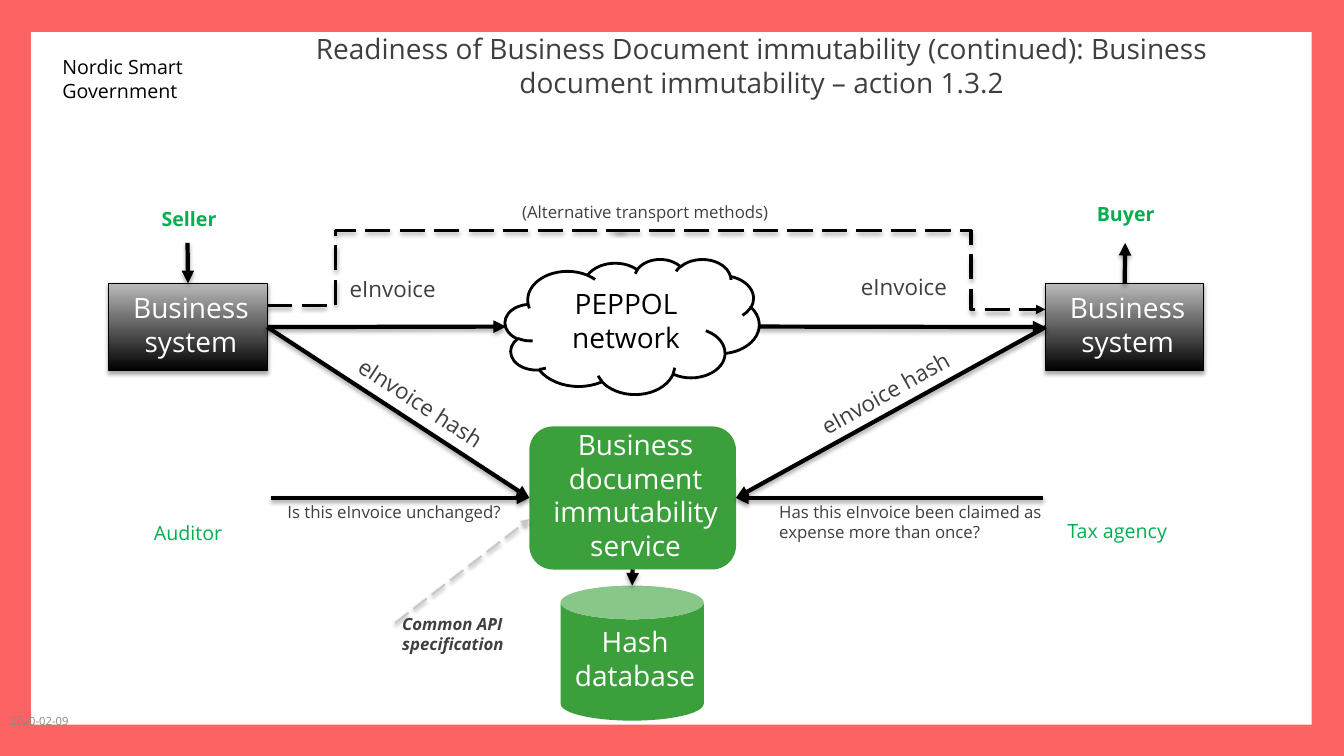
"""Build the business document immutability slide."""
from lxml import etree
from pptx import Presentation
from pptx import util as u
from pptx.dml.color import RGBColor
from pptx.enum import dml, shapes, text
from pptx.oxml import parse_xml
from pptx.oxml.ns import nsdecls, qn

BLACK = RGBColor(0x00, 0x00, 0x00)
WHITE = RGBColor(0xFF, 0xFF, 0xFF)
CORAL = RGBColor(0xFD, 0x63, 0x63)
GREEN = RGBColor(0x3B, 0xA0, 0x3B)
ROLE = RGBColor(0x00, 0xB0, 0x50)
DARK = RGBColor(0x3F, 0x3F, 0x3F)
GREY = RGBColor(0x88, 0x88, 0x88)
SILVER = RGBColor(0xBA, 0xBA, 0xBA)
PALE = RGBColor(0xC8, 0xC8, 0xC8)
LEFT, CENTER = text.PP_ALIGN.LEFT, text.PP_ALIGN.CENTER
TOP, MIDDLE, BOTTOM = (text.MSO_ANCHOR.TOP, text.MSO_ANCHOR.MIDDLE,
                       text.MSO_ANCHOR.BOTTOM)
SHADOW = (f'<a:effectLst {nsdecls("a")}><a:outerShdw blurRad="40000" dist="23000" '
          'dir="5400000" rotWithShape="0"><a:srgbClr val="000000">'
          '<a:alpha val="34000"/></a:srgbClr></a:outerShdw></a:effectLst>')


def write(sp, words, size, color, align=LEFT, anchor=TOP,
          insets=(0.1, 0.05, 0.1, 0.05), **style):
    tf = sp.text_frame
    tf.word_wrap, tf.auto_size = True, text.MSO_AUTO_SIZE.NONE
    tf.vertical_anchor = anchor
    for side, inset in zip(("left", "top", "right", "bottom"), insets):
        setattr(tf, f"margin_{side}", u.Inches(inset))
    p = tf.paragraphs[0]
    p.alignment = align
    r = p.add_run()
    r.text = words
    r.font.color.rgb = color
    for key, value in {"name": "Open Sans", "size": u.Pt(size), **style}.items():
        setattr(r.font, key, value)


def connect(kind, start, end, color=BLACK, width=3, dashed=False, arrow=True):
    cx = s.shapes.add_connector(kind, *map(u.Inches, start + end))
    cx.line.color.rgb, cx.line.width = color, u.Pt(width)
    if dashed:
        cx.line.dash_style = dml.MSO_LINE.LONG_DASH
    ln = cx.line._get_or_add_ln()
    if arrow:
        etree.SubElement(ln, qn("a:tailEnd"), type="triangle")
    ln.addnext(parse_xml(SHADOW))
    return cx


prs = Presentation()
prs.slide_width, prs.slide_height = u.Inches(13.33), u.Inches(7.5)
s = prs.slides.add_slide(prs.slide_layouts[5])
s.background.fill.solid()
s.background.fill.fore_color.rgb = CORAL

title = s.shapes.title
title.left, title.top, title.width, title.height = map(u.Inches, (2.89, 0.48, 9.33, 0.55))
write(title, "Readiness of Business Document immutability (continued): "
      "Business document immutability – action 1.3.2", 20, DARK, CENTER, BOTTOM)

SHAPE = shapes.MSO_SHAPE
nodes = {}
for name, kind, box, fill, words, color in (
        ("panel", SHAPE.RECTANGLE, (0.31, 0.32, 12.7, 6.87), WHITE, "", BLACK),
        ("seller", SHAPE.RECTANGLE, (1.08, 2.81, 1.57, 0.87), None, "Business system", WHITE),
        ("database", SHAPE.CAN, (5.56, 5.81, 1.42, 1.34), GREEN, "Hash database", WHITE),
        ("network", SHAPE.CLOUD, (5.01, 2.57, 2.52, 1.34), WHITE, "PEPPOL network", BLACK),
        ("buyer", SHAPE.RECTANGLE, (10.37, 2.81, 1.57, 0.87), None, "Business system", WHITE),
        ("service", SHAPE.ROUNDED_RECTANGLE, (5.25, 4.23, 2.05, 1.42), GREEN,
         "Business document immutability service", WHITE)):
    sp = nodes[name] = s.shapes.add_shape(kind, *map(u.Inches, box))
    sp.shadow.inherit = False
    sp.line.fill.background()
    if fill is None:
        sp.fill.gradient()
        sp.fill.gradient_angle = 90
        for stop, shade in zip(sp.fill.gradient_stops, (BLACK, SILVER)):
            stop.color.rgb = shade
        sp.line.color.rgb, sp.line.width = BLACK, u.Pt(0.75)
        effects = sp._element.spPr.find(qn("a:effectLst"))
        effects.getparent().replace(effects, parse_xml(SHADOW))
    else:
        sp.fill.solid()
        sp.fill.fore_color.rgb = fill
    if words:
        write(sp, words, 20, color, CENTER, MIDDLE, (0.1, 0.04, 0.04, 0.1))
nodes["network"].line.color.rgb, nodes["network"].line.width = BLACK, u.Pt(2)
panel = nodes["panel"]._element
s.shapes._spTree.remove(panel)
s.shapes._spTree.insert(2, panel)

STRAIGHT, ELBOW = shapes.MSO_CONNECTOR.STRAIGHT, shapes.MSO_CONNECTOR.ELBOW
for start, end, begin_at, end_at in (
        ((1.86, 2.41), (1.86, 2.81), None, ("seller", 0)),
        ((2.65, 3.24), (5.02, 3.24), ("seller", 3), None),
        ((7.53, 3.24), (10.37, 3.24), None, ("buyer", 1)),
        ((11.16, 2.81), (11.16, 2.41), ("buyer", 0), None),
        ((10.37, 3.24), (7.3, 4.94), ("buyer", 1), ("service", 3)),
        ((2.65, 3.24), (5.25, 4.94), ("seller", 3), ("service", 1)),
        ((6.27, 5.65), (6.27, 5.81), ("service", 2), None),
        ((2.69, 4.94), (5.25, 4.94), None, ("service", 1)),
        ((10.34, 4.94), (7.3, 4.94), None, ("service", 3))):
    cx = connect(STRAIGHT, start, end)
    if begin_at:
        cx.begin_connect(nodes[begin_at[0]], begin_at[1])
    if end_at:
        cx.end_connect(nodes[end_at[0]], end_at[1])
connect(STRAIGHT, (3.92, 6.18), (5.25, 5.15), PALE, 1.5, dashed=True)

for start, end, bend, arrow in (((2.65, 3.03), (6.19, 2.29), 19200, False),
                                ((6.1, 2.29), (10.37, 3.07), 82700, True)):
    cx = connect(ELBOW, start, end, width=2.25, dashed=True, arrow=arrow)
    geom = cx._element.spPr.find(qn("a:prstGeom"))
    etree.SubElement(geom.find(qn("a:avLst")), qn("a:gd"), name="adj1", fmla=f"val {bend}")

bold = {"bold": True}
for words, box, size, color, align, turn, style in (
        ("Nordic Smart Government", (0.52, 0.5, 1.5, 0.57), 14, BLACK, LEFT, 0, {}),
        ("eInvoice", (3.37, 2.68, 1.19, 0.37), 16, DARK, LEFT, 0, {}),
        ("eInvoice", (8.44, 2.66, 1.21, 0.37), 16, DARK, LEFT, 0, {}),
        ("Is this eInvoice unchanged?", (2.34, 4.93, 3.14, 0.3), 12, DARK, CENTER, 0, {}),
        ("eInvoice hash", (3.35, 3.87, 1.83, 0.37), 16, DARK, LEFT, 33.1, {}),
        ("eInvoice hash", (7.95, 3.62, 1.99, 0.37), 16, DARK, LEFT, 330.7, {}),
        ("Has this eInvoice been claimed as expense more than once?",
         (7.63, 4.93, 3.15, 0.5), 12, DARK, LEFT, 0, {}),
        ("Common API specification", (3.89, 6.04, 1.38, 0.5), 12, DARK, LEFT, 0,
         {"bold": True, "italic": True}),
        ("(Alternative transport methods)", (5.08, 1.95, 4.43, 0.3), 12, DARK, LEFT, 0, {}),
        ("Seller", (1.35, 2, 1.05, 0.34), 14, ROLE, CENTER, 0, bold),
        ("Buyer", (10.64, 1.95, 1.05, 0.34), 14, ROLE, CENTER, 0, bold),
        ("Tax agency", (10.42, 5.1, 1.32, 0.34), 14, ROLE, CENTER, 0, {}),
        ("Auditor", (1.34, 5.12, 1.05, 0.34), 14, ROLE, CENTER, 0, {})):
    sp = s.shapes.add_textbox(*map(u.Inches, box))
    sp.rotation = turn
    write(sp, words, size, color, align, **style)

date = s.shapes.add_textbox(*map(u.Inches, (0, 6.95, 3, 0.4)))
write(date, "2020-02-09", 8, GREY, anchor=MIDDLE)

prs.save("out.pptx")
